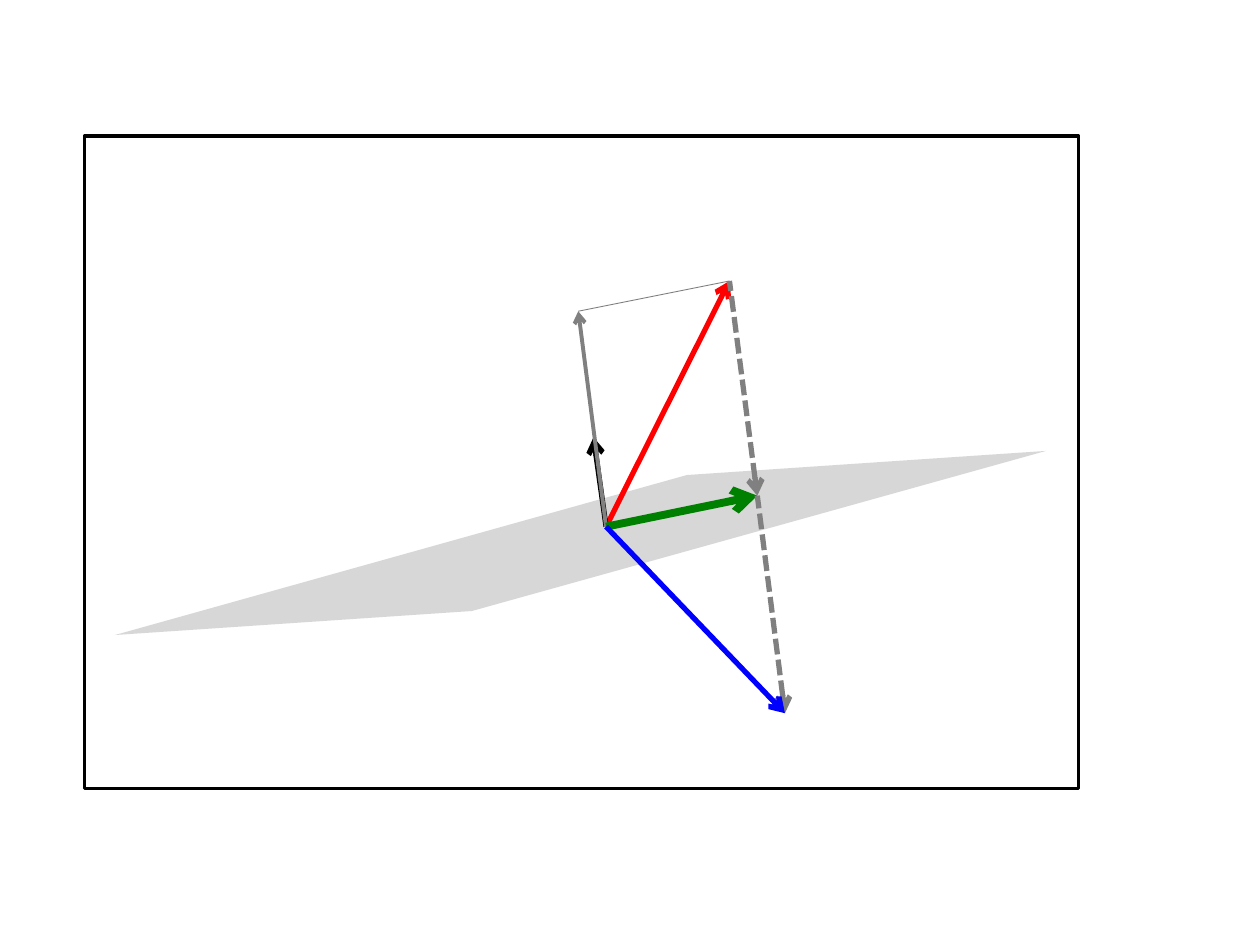
from dataclasses import dataclass

from lxml.etree import SubElement
from pptx import Presentation
from pptx.dml.color import RGBColor
from pptx.enum.dml import MSO_LINE
from pptx.enum.shapes import MSO_CONNECTOR, MSO_SHAPE
from pptx.oxml.ns import qn
from pptx.util import Pt


@dataclass(frozen=True)
class Theme:
    frame: RGBColor = RGBColor(0x00, 0x00, 0x00)
    plane: RGBColor = RGBColor(0xBF, 0xBF, 0xBF)
    plane_opacity: int = 62
    vector: RGBColor = RGBColor(0xFF, 0x00, 0x00)
    normal: RGBColor = RGBColor(0x00, 0x00, 0x00)
    guide: RGBColor = RGBColor(0x80, 0x80, 0x80)
    projection: RGBColor = RGBColor(0x00, 0x80, 0x00)
    reflection: RGBColor = RGBColor(0x00, 0x00, 0xFF)


@dataclass(frozen=True)
class Box:
    left: float
    top: float
    width: float
    height: float

    def place(self, point):
        x, y = point
        return Pt(self.left + x), Pt(self.top + y)


THEME = Theme()


def add_frame(slide, box):
    frame = slide.shapes.add_shape(
        MSO_SHAPE.RECTANGLE, Pt(box.left), Pt(box.top), Pt(box.width), Pt(box.height)
    )
    frame.shadow.inherit = False
    frame.fill.background()
    frame.line.color.rgb = THEME.frame
    frame.line.width = Pt(2)


def add_plane(slide, box):
    corners = [
        box.place(corner)
        for corner in [(17.5, 285.1), (344.3, 193.7), (549.5, 179.9), (221.5, 271.4)]
    ]
    builder = slide.shapes.build_freeform(*corners[0])
    builder.add_line_segments(corners[1:], close=True)
    plane = builder.convert_to_shape()
    plane.shadow.inherit = False
    plane.fill.solid()
    plane.fill.fore_color.rgb = THEME.plane
    plane.line.fill.background()
    color = plane._element.spPr.find(qn("a:solidFill")).find(qn("a:srgbClr"))
    SubElement(color, qn("a:alpha"), val=str(THEME.plane_opacity * 1000))


def add_ray(slide, box, start, end, color, width, arrow=None, dashed=False):
    ray = slide.shapes.add_connector(
        MSO_CONNECTOR.STRAIGHT, *box.place(start), *box.place(end)
    )
    ray.line.color.rgb = color
    ray.line.width = Pt(width)
    if dashed:
        ray.line.dash_style = MSO_LINE.SQUARE_DOT
    properties = ray._element.spPr
    if arrow:
        SubElement(properties.find(qn("a:ln")), qn(f"a:{arrow}"), type="arrow")
    SubElement(properties, qn("a:effectLst"))


def add_vectors(slide, box):
    origin = (298.1, 223.2)
    vector = (368.6, 82.8)
    normal = (290.9, 172.1)
    component = (282.2, 100.1)
    projection = (384.5, 205.5)
    reflection = (400.3, 329.8)

    add_ray(slide, box, origin, vector, THEME.vector, 3, "tailEnd")
    add_ray(slide, box, origin, normal, THEME.normal, 3, "tailEnd")
    add_ray(slide, box, origin, component, THEME.guide, 2.25, "tailEnd")
    add_ray(slide, box, component, vector, THEME.guide, 0.5)
    add_ray(slide, box, origin, projection, THEME.projection, 4.5, "tailEnd")
    for start, end in [(projection, vector), (reflection, projection)]:
        add_ray(slide, box, start, end, THEME.guide, 3, "headEnd", dashed=True)
    add_ray(slide, box, origin, reflection, THEME.reflection, 3, "tailEnd")


def main():
    presentation = Presentation()
    presentation.slide_width = Pt(720)
    presentation.slide_height = Pt(540)
    slide = presentation.slides.add_slide(presentation.slide_layouts[6])
    diagram = Box(48.24, 77.76, 568.08, 372.96)
    add_frame(slide, diagram)
    add_plane(slide, diagram)
    add_vectors(slide, diagram)
    presentation.save("out.pptx")


if __name__ == "__main__":
    main()
